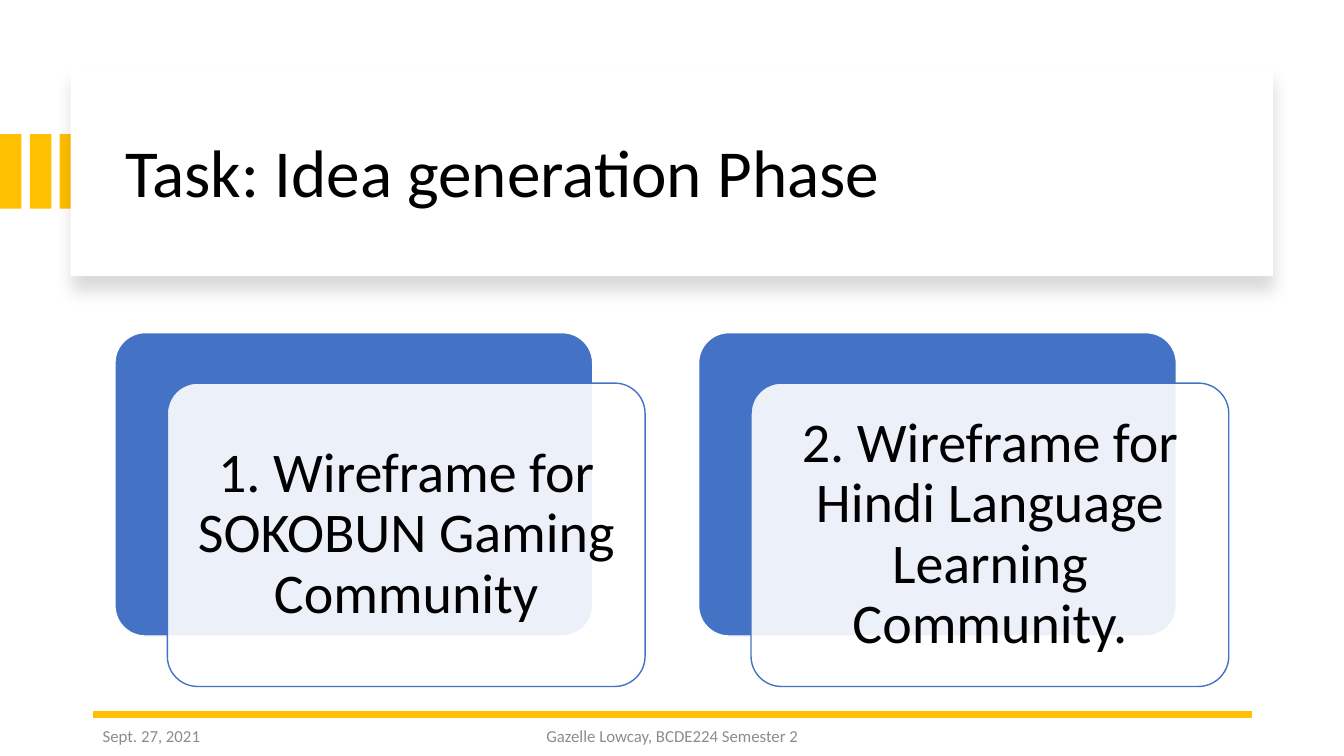
from lxml import etree
from pptx import Presentation
from pptx.dml.color import RGBColor
from pptx.enum.shapes import MSO_CONNECTOR, MSO_SHAPE
from pptx.enum.text import MSO_ANCHOR, PP_ALIGN
from pptx.oxml.ns import qn
from pptx.util import Inches, Pt

RECT, ROUNDED = MSO_SHAPE.RECTANGLE, MSO_SHAPE.ROUNDED_RECTANGLE
STRAIGHT = MSO_CONNECTOR.STRAIGHT
MIDDLE = MSO_ANCHOR.MIDDLE
LEFT, CENTER = PP_ALIGN.LEFT, PP_ALIGN.CENTER

GOLD = RGBColor(0xFF, 0xC0, 0x00)
BLUE = RGBColor(0x44, 0x72, 0xC4)
WHITE = RGBColor(0xFF, 0xFF, 0xFF)
BLACK = RGBColor(0x00, 0x00, 0x00)
GRAY = RGBColor(0x8C, 0x8C, 0x8C)
FONT = "Calibri"
SLIDE_WIDTH, SLIDE_HEIGHT = Inches(13.333), Inches(7.5)

TASKS = (
    "1. Wireframe for SOKOBUN Gaming Community",
    "2. Wireframe for Hindi Language Learning Community.",
)


def area(left, top, width, height):
    """Turn percentages of the slide into a left, top, width, height box."""
    return (
        round(SLIDE_WIDTH * left / 100),
        round(SLIDE_HEIGHT * top / 100),
        round(SLIDE_WIDTH * width / 100),
        round(SLIDE_HEIGHT * height / 100),
    )


def write(frame, text, size, color, align=LEFT, line_spacing=1.0):
    """Set one formatted, vertically centred paragraph in a text frame."""
    frame.word_wrap = True
    frame.vertical_anchor = MIDDLE
    paragraph = frame.paragraphs[0]
    paragraph.alignment = align
    paragraph.line_spacing = line_spacing
    run = paragraph.add_run()
    run.text = text
    run.font.name = FONT
    run.font.size = Pt(size)
    run.font.color.rgb = color


def add_block(slide, kind, box, fill, outline=None):
    """Add a flat filled shape, outlined only when a colour is given."""
    block = slide.shapes.add_shape(kind, *box)
    block.shadow.inherit = False
    block.fill.solid()
    block.fill.fore_color.rgb = fill
    if outline is None:
        block.line.fill.background()
    else:
        block.line.color.rgb = outline
        block.line.width = Pt(1)
    if kind == ROUNDED:
        block.adjustments[0] = 0.1
    return block


def set_opacity(color_element, percent):
    """Add an alpha value to a colour element."""
    etree.SubElement(color_element, qn("a:alpha")).set("val", str(percent * 1000))


def add_header(slide):
    """Add the gold bars, the shadowed panel and the title upon it."""
    for index in range(3):
        add_block(slide, RECT, area(2.22 * index, 17.75, 1.6, 9.87), GOLD)
    panel = add_block(slide, RECT, area(5.25, 8.93, 89.47, 27.6), WHITE)
    effects = panel._element.spPr.find(qn("a:effectLst"))
    shadow = etree.SubElement(
        effects, qn("a:outerShdw"), blurRad=str(Pt(11)), dist=str(Pt(10)),
        dir="5400000", algn="t", rotWithShape="0",
    )
    set_opacity(etree.SubElement(shadow, qn("a:srgbClr"), val=str(BLACK)), 15)

    title = slide.shapes.title
    panel._element.addnext(title._element)
    title.left, title.top, title.width, title.height = area(8.55, 11.87, 83.48, 22.67)
    write(title.text_frame, "Task: Idea generation Phase", 48, BLACK, line_spacing=0.9)


def add_task_card(slide, left, text):
    """Add a blue card with a translucent text card offset over it."""
    top, width, height = 44, 35.55, 40.13
    add_block(slide, ROUNDED, area(left, top, width, height), BLUE, WHITE)
    front = add_block(
        slide, ROUNDED, area(left + 3.9, top + 6.67, width, height), WHITE, BLUE
    )
    set_opacity(front._element.spPr.find(qn("a:solidFill"))[0], 90)
    frame = front.text_frame
    frame.margin_left = frame.margin_right = Inches(0.17)
    frame.margin_top = frame.margin_bottom = Inches(0.17)
    write(frame, text, 40, BLACK, CENTER, 0.9)


def add_footer_text(slide, left, width, text, align):
    """Add a small grey text in the footer row."""
    footer = slide.shapes.add_textbox(*area(left, 94.67, width, 5.33))
    write(footer.text_frame, text, 12, GRAY, align)


def add_footer_rule(slide):
    """Add the gold line above the footer."""
    left, top, width, _ = area(6.9, 94.53, 86.25, 0)
    rule = slide.shapes.add_connector(STRAIGHT, left + width, top, left, top)
    rule.line.color.rgb = GOLD
    rule.line.width = Pt(4.5)
    etree.SubElement(rule._element.spPr, qn("a:effectLst"))


def main():
    """Build the slide and save it."""
    deck = Presentation()
    deck.slide_width, deck.slide_height = SLIDE_WIDTH, SLIDE_HEIGHT
    slide = deck.slides.add_slide(deck.slide_layouts[5])
    add_header(slide)
    add_footer_rule(slide)
    add_footer_text(slide, 6.9, 22.5, "Sept. 27, 2021", LEFT)
    add_footer_text(slide, 33.15, 33.75, "Gazelle Lowcay, BCDE224 Semester 2", CENTER)
    for index, task in enumerate(TASKS):
        add_task_card(slide, 8.55 + 43.43 * index, task)
    deck.save("out.pptx")


if __name__ == "__main__":
    main()
